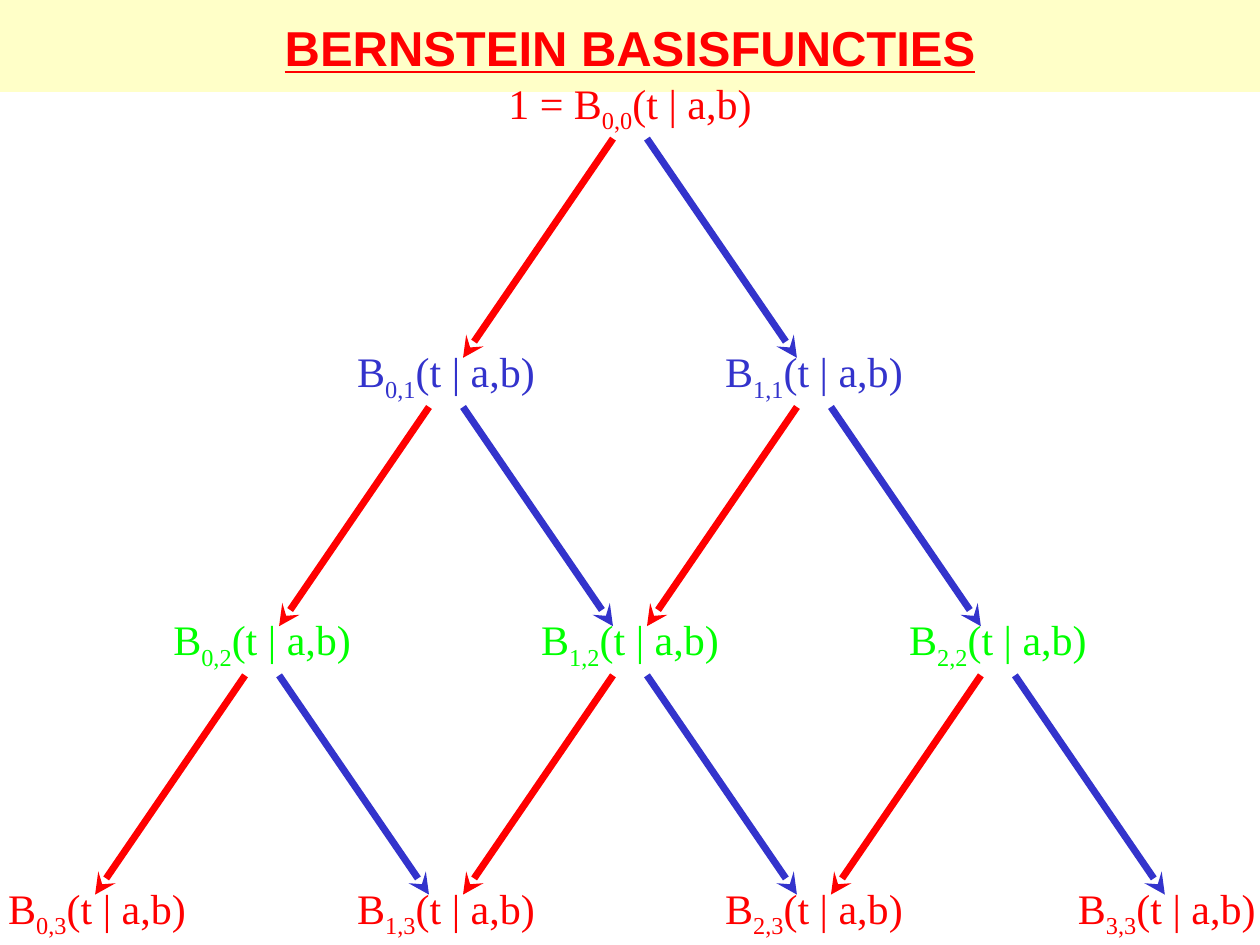
from dataclasses import dataclass

from pptx import Presentation
from pptx.dml.color import RGBColor
from pptx.enum.shapes import MSO_CONNECTOR as Connector, MSO_SHAPE as Shape
from pptx.enum.text import MSO_ANCHOR as Anchor, MSO_AUTO_SIZE as AutoSize, PP_ALIGN as Align
from pptx.oxml.ns import qn
from pptx.util import Inches, Pt
from lxml.etree import SubElement

TITLE = "BERNSTEIN BASISFUNCTIES"
ARGUMENTS = "(t | a,b)"
PREFIXES = {(0, 0): "1 = "}  # text before B, by (index, degree)
NUDGES = {(0, 3): 0.15, (3, 3): -0.12}  # keeps the outer labels on the slide
DEGREES = 4


@dataclass(frozen=True)
class Theme:
    red: RGBColor = RGBColor(0xFF, 0x00, 0x00)
    blue: RGBColor = RGBColor(0x33, 0x33, 0xCC)
    green: RGBColor = RGBColor(0x00, 0xFF, 0x00)
    band: RGBColor = RGBColor(0xFF, 0xFF, 0xC8)
    title_font: str = "Arial"
    label_font: str = "Times New Roman"
    title_size: int = 28
    label_size: int = 24
    arrow_width: int = 4


THEME = Theme()
ROW_COLORS = [THEME.red, THEME.blue, THEME.green, THEME.red]

# Triangle geometry, in inches
CENTER, COLUMN_GAP = 5, 2.92
FIRST_LABEL_TOP, ROW_GAP = 0.59, 2.13
LABEL_HEIGHT = 0.5
ARROW_TOP, ARROW_DROP, ARROW_INSET = 1.1, 1.74, 0.135


def node_x(index, degree):
    return CENTER + (index - degree / 2) * COLUMN_GAP


def add_text(slide, left, top, width, height, pieces, font, size, color):
    box = slide.shapes.add_textbox(*map(Inches, (left, top, width, height)))
    frame = box.text_frame
    frame.vertical_anchor = Anchor.MIDDLE
    paragraph = frame.paragraphs[0]
    paragraph.alignment = Align.CENTER
    for piece in pieces:
        run = paragraph.add_run()
        run.text = piece
        run.font.name, run.font.size = font, Pt(size)
        run.font.color.rgb = color
    return frame


def add_title(slide):
    band = slide.shapes.add_shape(Shape.RECTANGLE, 0, 0, Inches(10), Inches(0.73))
    band.shadow.inherit = False
    band.fill.solid()
    band.fill.fore_color.rgb = THEME.band
    band.line.fill.background()
    frame = add_text(slide, 0, 0, 10, 0.75, [TITLE],
                     THEME.title_font, THEME.title_size, THEME.red)
    frame.word_wrap = True
    font = frame.paragraphs[0].runs[0].font
    font.bold = font.underline = True


def add_function(slide, index, degree):
    prefix = PREFIXES.get((index, degree), "")
    width = 2.17 if prefix else 1.65
    center = node_x(index, degree) + NUDGES.get((index, degree), 0)
    frame = add_text(slide, center - width / 2, FIRST_LABEL_TOP + degree * ROW_GAP,
                     width, LABEL_HEIGHT,
                     [f"{prefix}B", f"{index},{degree}", ARGUMENTS],
                     THEME.label_font, THEME.label_size, ROW_COLORS[degree])
    frame.word_wrap = False
    frame.auto_size = AutoSize.SHAPE_TO_FIT_TEXT
    subscript = frame.paragraphs[0].runs[1]
    subscript.font._element.set("baseline", "-25000")


def add_arrow(slide, index, degree, step):
    """Draw from a function to its left (step 0) or right (step 1) successor."""
    side = 2 * step - 1
    top = ARROW_TOP + degree * ROW_GAP
    start_x = node_x(index, degree) + side * ARROW_INSET
    end_x = node_x(index + step, degree + 1) - side * ARROW_INSET
    arrow = slide.shapes.add_connector(
        Connector.STRAIGHT,
        *map(Inches, (start_x, top, end_x, top + ARROW_DROP)))
    arrow.line.color.rgb = THEME.blue if step else THEME.red
    arrow.line.width = Pt(THEME.arrow_width)
    SubElement(arrow.line._get_or_add_ln(), qn("a:tailEnd"), type="stealth")
    SubElement(arrow._element.spPr, qn("a:effectLst"))


def main():
    deck = Presentation()
    deck.slide_width, deck.slide_height = Inches(10), Inches(7.5)
    slide = deck.slides.add_slide(deck.slide_layouts[6])
    add_title(slide)
    for degree in range(DEGREES):
        for index in range(degree + 1):
            add_function(slide, index, degree)
            if degree < DEGREES - 1:
                for step in (0, 1):
                    add_arrow(slide, index, degree, step)
    deck.save("out.pptx")


if __name__ == "__main__":
    main()
